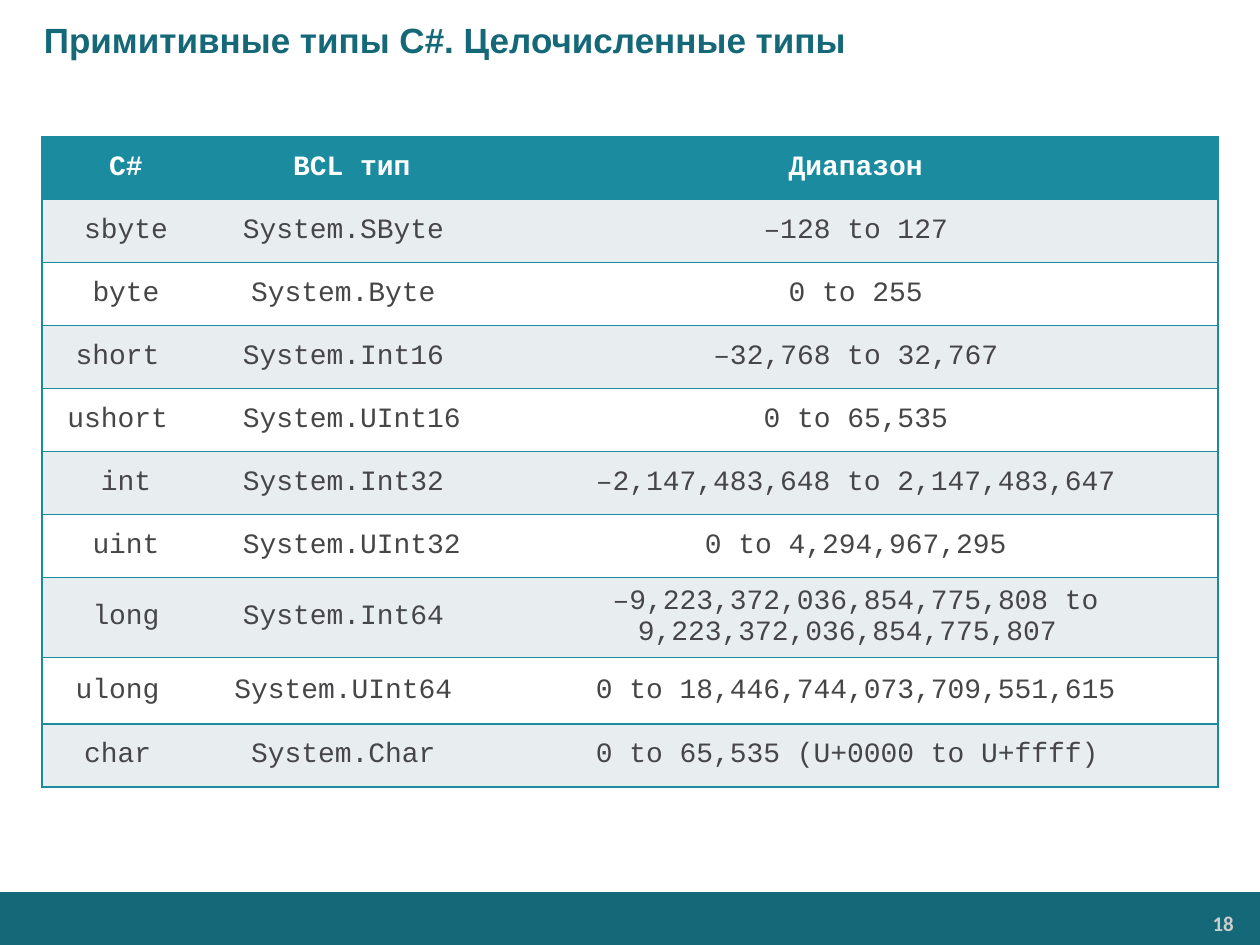
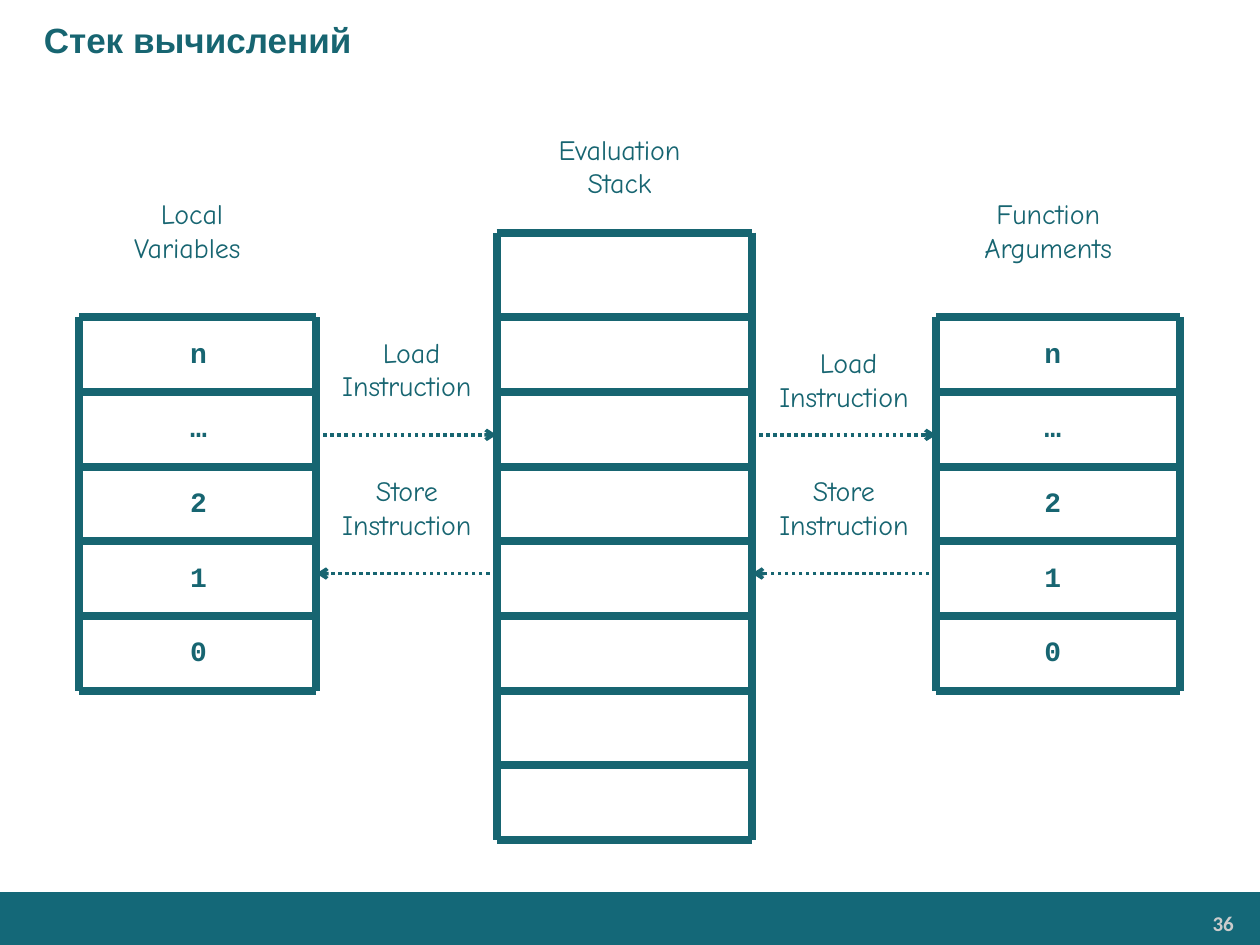
from lxml import etree
from pptx import Presentation
from pptx.dml.color import RGBColor
from pptx.enum import dml, shapes, text
from pptx.oxml.ns import qn
from pptx.util import Pt

# Colours
BAND = RGBColor(0x14, 0x68, 0x78)
STACK = RGBColor(0x17, 0x65, 0x71)
HEADER = RGBColor(0x1B, 0x8B, 0xA0)
STRIPE = RGBColor(0xE8, 0xEE, 0xF0)
WHITE = RGBColor(0xFF, 0xFF, 0xFF)
BODY = RGBColor(0x46, 0x45, 0x47)
NUMBER = RGBColor(0xCC, 0xCC, 0xCC)

# Text formats
TITLE = {"name": "Arial", "size": Pt(20), "bold": True}
PAGE = {"name": "Calibri", "size": Pt(12), "bold": True}
LABEL = {"name": "Comic Neue", "size": Pt(16), "bold": False}
CODE = {"name": "Courier New", "size": Pt(16), "bold": False}
CODE_BOLD = {**CODE, "bold": True}

CENTER, RIGHT = text.PP_ALIGN.CENTER, text.PP_ALIGN.RIGHT

TYPES = [
    ("C#", "BCL тип", "Диапазон"),
    ("sbyte", "System.SByte ", "–128 to 127"),
    ("byte", "System.Byte ", "0 to 255"),
    ("short ", "System.Int16 ", "–32,768 to 32,767"),
    ("ushort ", "System.UInt16", "0 to 65,535"),
    ("int", "System.Int32 ", "–2,147,483,648 to 2,147,483,647"),
    ("uint", "System.UInt32", "0 to 4,294,967,295"),
    ("long", "System.Int64 ",
     "–9,223,372,036,854,775,808 to 9,223,372,036,854,775,807 "),
    ("ulong ", "System.UInt64 ", "0 to 18,446,744,073,709,551,615"),
    ("char ", "System.Char ", "0 to 65,535 (U+0000 to U+ffff) "),
]
COLUMN_WIDTHS = (96, 162, 414)
ROW_HEIGHT, ULONG_HEIGHT = 36, 38

# Stack geometry
SLOT = 42.65
SLOTS_TOP, SLOTS_BOTTOM = 181.4, 394.65
EVAL_TOP, EVAL_BOTTOM = 133, 479.95
LOCALS, EVAL, ARGS = (45.25, 180.75), (283.75, 429.75), (535, 674.5)


def set_all(obj, values):
    for name, value in values.items():
        setattr(obj, name, value)


def write(p, words, font, color, align=None):
    p.alignment = align
    r = p.add_run()
    r.text = words
    set_all(r.font, font)
    r.font.color.rgb = color


def add_text(s, box, lines, font, color, align=None, **frame):
    sp = s.shapes.add_textbox(*map(Pt, box))
    tf = sp.text_frame
    set_all(tf, {"word_wrap": True, **frame})
    for i, line in enumerate(lines):
        p = tf.add_paragraph() if i else tf.paragraphs[0]
        write(p, line, font, color, align)
    return tf


def add_base(prs, title, number, title_color):
    """Slide with the title, the bottom band and the page number."""
    s = prs.slides.add_slide(prs.slide_layouts[6])
    band = s.shapes.add_shape(shapes.MSO_SHAPE.RECTANGLE,
                              *map(Pt, (0, 509.75, 720.5, 31)))
    band.shadow.inherit = False
    band.fill.solid()
    band.fill.fore_color.rgb = BAND
    band.line.fill.background()
    add_text(s, (592.5, 517.5, 117.5, 20), [number], PAGE, NUMBER, RIGHT,
             margin_left=Pt(5), margin_right=Pt(5),
             margin_top=Pt(3), margin_bottom=Pt(3))
    tf = add_text(s, (0, 0, 720, 45), [title], TITLE, title_color,
                  vertical_anchor=text.MSO_ANCHOR.MIDDLE)
    tf.paragraphs[0]._p.get_or_add_pPr().set("marL", str(Pt(18)))
    return s


# Table
def set_borders(cell, sides):
    tc_pr = cell._tc.get_or_add_tcPr()
    for side in "LRTB":
        ln = etree.SubElement(tc_pr, qn("a:ln" + side), w=str(Pt(1)))
        if side in sides:
            fill = etree.SubElement(ln, qn("a:solidFill"))
            etree.SubElement(fill, qn("a:srgbClr"), val=str(HEADER))
        else:
            etree.SubElement(ln, qn("a:noFill"))


def add_type_table(s):
    heights = [ULONG_HEIGHT if row[0] == "ulong " else ROW_HEIGHT
               for row in TYPES]
    table = s.shapes.add_table(
        len(TYPES), len(COLUMN_WIDTHS),
        *map(Pt, (24, 78, sum(COLUMN_WIDTHS), sum(heights)))).table
    set_all(table, {"first_row": False, "horz_banding": False})
    for column, width in zip(table.columns, COLUMN_WIDTHS):
        column.width = Pt(width)
    for i, (row, height) in enumerate(zip(TYPES, heights)):
        table.rows[i].height = Pt(height)
        fill = (STRIPE if i % 2 else WHITE) if i else HEADER
        for j, (words, sides) in enumerate(zip(row, ("LTB", "TB", "RTB"))):
            cell = table.cell(i, j)
            cell.vertical_anchor = text.MSO_ANCHOR.MIDDLE
            set_borders(cell, sides)
            cell.fill.solid()
            cell.fill.fore_color.rgb = fill
            write(cell.text_frame.paragraphs[0], words,
                  CODE if i else CODE_BOLD, BODY if i else WHITE, CENTER)


# Stack diagram
def add_line(s, x1, y1, x2, y2, width=4.5):
    c = s.shapes.add_connector(shapes.MSO_CONNECTOR.STRAIGHT,
                               *map(Pt, (x1, y1, x2, y2)))
    c.line.color.rgb = STACK
    c.line.width = Pt(width)
    etree.SubElement(c._element.spPr, qn("a:effectLst"))
    return c


def add_arrow(s, x1, x2, y):
    c = add_line(s, x1, y, x2, y, 2)
    c.line.dash_style = dml.MSO_LINE.ROUND_DOT
    ln = c._element.spPr.find(qn("a:ln"))
    etree.SubElement(ln, qn("a:tailEnd"), type="arrow")


def add_ladder(s, sides, levels):
    left, right = sides
    for x in sides:
        add_line(s, x, levels[0], x, levels[-1])
    for y in levels:
        add_line(s, left, y, right, y)


def add_label(s, left, top, width, lines, height=46, font=LABEL):
    add_text(s, (left, top, width, height), lines, font, STACK, CENTER,
             word_wrap=False, auto_size=text.MSO_AUTO_SIZE.SHAPE_TO_FIT_TEXT)


def add_stack_diagram(s):
    levels = [SLOTS_TOP + SLOT * i for i in range(8)]
    add_ladder(s, LOCALS, levels[:6])
    add_ladder(s, EVAL, [EVAL_TOP] + levels)
    add_ladder(s, ARGS, levels[:6])

    # Slot indexes
    for left in (101.5, 589.75):
        for i, index in enumerate("n…210"):
            add_label(s, left, 188 + SLOT * i, 23, [index], 26.5, CODE_BOLD)

    # Captions
    add_label(s, 67.75, 108.75, 84, [" Local ", "Variables "])
    add_label(s, 283.75, 72, 140.5, ["Evaluation", "Stack"])
    add_label(s, 550.75, 108.75, 96.5, ["Function", "Arguments"])

    # Load and store instructions
    for start, end, left, load_top in (
            (LOCALS[1], EVAL[0], 185, 188), (EVAL[1], ARGS[0], 434.75, 194)):
        add_arrow(s, start, end, 248.5)
        add_arrow(s, end, start, 327.75)
        add_label(s, left, load_top, 95, [" Load", "Instruction"])
        add_label(s, left, 267, 95, ["Store", "Instruction"])


def main():
    prs = Presentation()
    prs.slide_width, prs.slide_height = Pt(720), Pt(540)
    add_type_table(add_base(
        prs, "Примитивные типы C#. Целочисленные типы", "18", BAND))
    add_stack_diagram(add_base(prs, "Стек вычислений", "36", STACK))
    prs.save("out.pptx")


if __name__ == "__main__":
    main()
